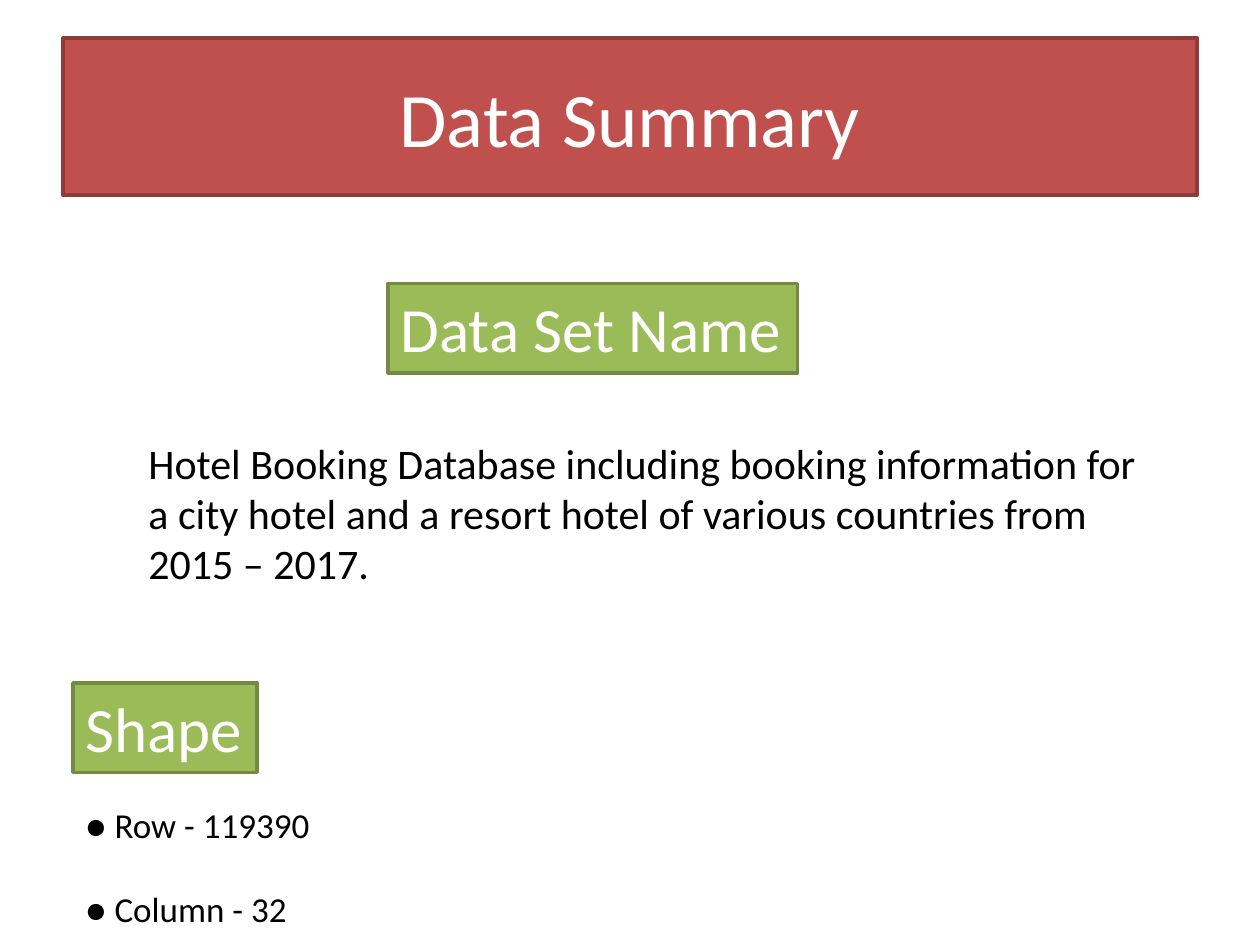
from pptx import Presentation
from pptx.dml.color import RGBColor
from pptx.enum.shapes import MSO_SHAPE
from pptx.enum.text import MSO_ANCHOR, MSO_AUTO_SIZE, PP_ALIGN
from pptx.util import Inches, Pt

RECTANGLE = MSO_SHAPE.RECTANGLE
TOP, MIDDLE = MSO_ANCHOR.TOP, MSO_ANCHOR.MIDDLE
LEFT, CENTER = PP_ALIGN.LEFT, PP_ALIGN.CENTER
FIT_SHAPE = MSO_AUTO_SIZE.SHAPE_TO_FIT_TEXT

FONT = "Calibri"
COLORS = {
    "white": "FFFFFF",
    "black": "000000",
    "red": "C0504D",
    "red_line": "8E3B39",
    "green": "9BBB59",
    "green_line": "738A42",
}


def color(name):
    return RGBColor.from_string(COLORS[name])


def write(shape, lines, size, color_name, align=LEFT, anchor=TOP, wrap=True, gap=0):
    frame = shape.text_frame
    frame.word_wrap = wrap
    frame.vertical_anchor = anchor
    for index, line in enumerate(lines):
        paragraph = frame.add_paragraph() if index else frame.paragraphs[0]
        paragraph.alignment = align
        paragraph.space_before = Pt(gap if index else 0)
        run = paragraph.add_run()
        run.text = line
        run.font.name = FONT
        run.font.size = Pt(size)
        run.font.color.rgb = color(color_name)


def add_panel(slide, box, fill):
    shape = slide.shapes.add_shape(RECTANGLE, *map(Inches, box))
    shape.shadow.inherit = False
    shape.fill.solid()
    shape.fill.fore_color.rgb = color(fill)
    shape.line.color.rgb = color(f"{fill}_line")
    shape.line.width = Pt(2)
    return shape


def add_title(slide, box, text):
    write(add_panel(slide, box, "red"), [text], 44, "white", CENTER, MIDDLE)


def add_heading(slide, box, text):
    shape = add_panel(slide, box, "green")
    write(shape, [text], 36, "white", wrap=False)
    shape.text_frame.auto_size = FIT_SHAPE


def add_body(slide, box, lines, size, wrap=True, gap=0):
    shape = slide.shapes.add_textbox(*map(Inches, box))
    write(shape, lines, size, "black", wrap=wrap, gap=gap)
    shape.text_frame.auto_size = FIT_SHAPE


def main():
    presentation = Presentation()
    presentation.slide_width = Inches(10)
    presentation.slide_height = Inches(7.5)
    slide = presentation.slides.add_slide(presentation.slide_layouts[6])

    add_title(slide, (0.5, 0.3, 9, 1.25), "Data Summary")
    add_heading(slide, (3.08, 2.25, 3.25, 0.71), "Data Set Name")
    add_heading(slide, (0.58, 5.42, 1.46, 0.71), "Shape")
    add_body(
        slide,
        (1.08, 3.42, 8.17, 1.31),
        ["Hotel Booking Database including booking information for a city hotel "
         "and a resort hotel of various countries from 2015 – 2017."],
        24,
    )
    add_body(
        slide,
        (0.58, 6.33, 1.99, 1.11),
        ["● Row - 119390", "● Column - 32"],
        20,
        wrap=False,
        gap=24,
    )
    presentation.save("out.pptx")


if __name__ == "__main__":
    main()
